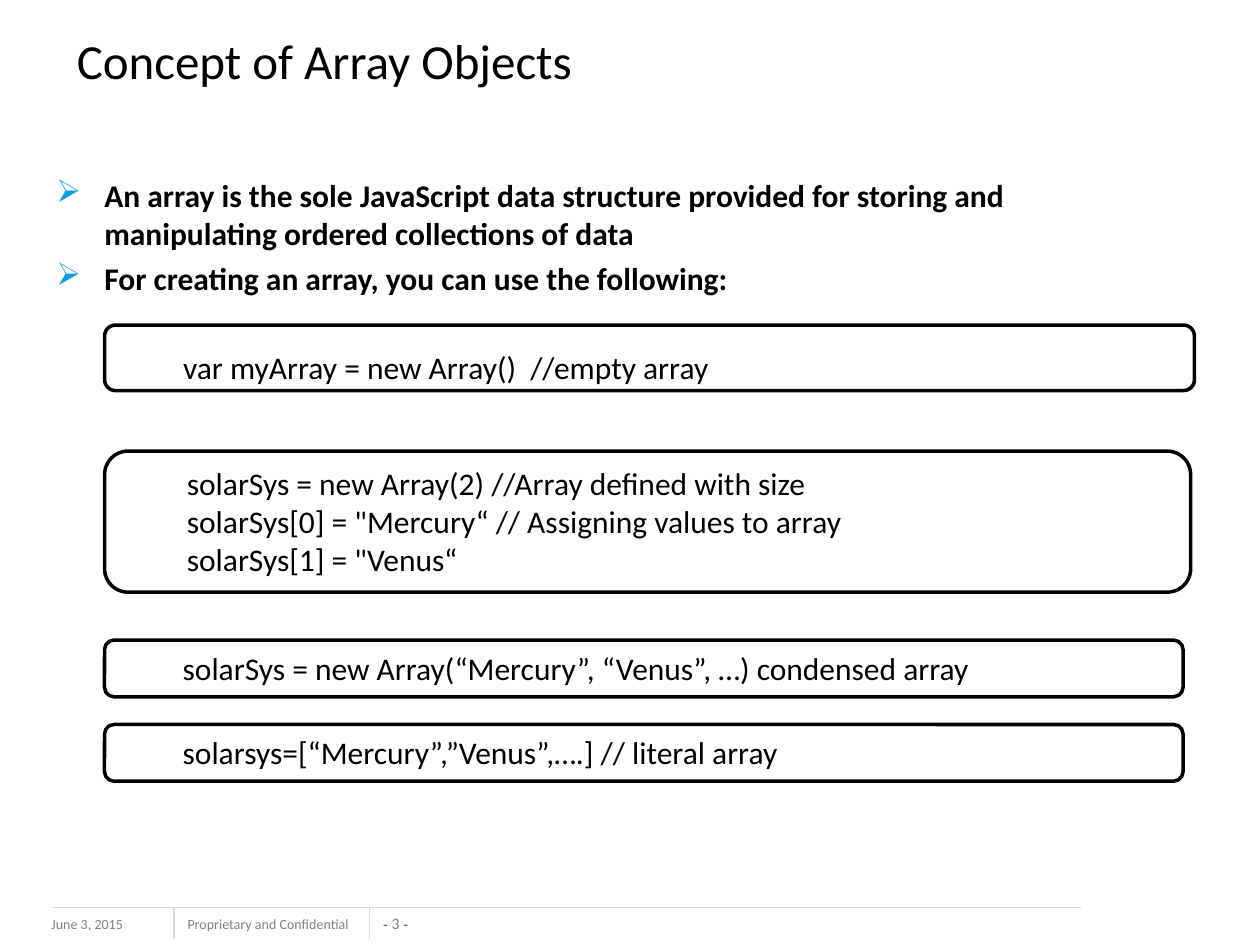
from lxml.etree import SubElement
from pptx import Presentation
from pptx.dml.color import RGBColor
from pptx.enum.shapes import MSO_CONNECTOR as Link, MSO_SHAPE as Form
from pptx.enum.text import MSO_ANCHOR as Anchor, MSO_AUTO_SIZE as Fit, PP_ALIGN as Align
from pptx.oxml.ns import qn
from pptx.util import Pt

PX = 9144  # 100 px to the inch
COLORS = {
    "ink": "000000", "paper": "FFFFFF", "bullet": "00A1E4",
    "rule": "D9D9D9", "foot": "808080", "dash": "1F497D",
}


def color(name):
    return RGBColor.from_string(COLORS[name])


def scale(*sizes):
    return [size * PX for size in sizes]


class Deck:
    font = "Calibri"
    size = 18

    def __init__(self, wide, high):
        self.file = Presentation()
        self.file.slide_width, self.file.slide_height = scale(wide, high)
        self.slide = self.file.slides.add_slide(self.file.slide_layouts[5])
        self.shapes = self.slide.shapes

    def run(self, para, text, size=None, ink="ink", font=None, bold=False):
        run = para.add_run()
        run.text = text
        run.font.name = font or self.font
        run.font.size = Pt(size or self.size)
        run.font.bold = bold
        run.font.color.rgb = color(ink)

    def paras(self, frame, count):
        """Return the first paragraph of the frame and count - 1 new ones."""
        return [frame.paragraphs[0]] + [frame.add_paragraph() for _ in range(count - 1)]

    def indent(self, para, left, first=0):
        props = para._p.get_or_add_pPr()
        props.set("marL", str(left * PX))
        props.set("indent", str(first * PX))
        return props

    def title(self, text, *box):
        shape = self.shapes.title
        shape.left, shape.top, shape.width, shape.height = scale(*box)
        frame = shape.text_frame
        frame.auto_size = Fit.NONE
        frame.vertical_anchor = Anchor.MIDDLE
        para = frame.paragraphs[0]
        para.alignment = Align.LEFT
        para.line_spacing = 0.8
        self.run(para, text, 28)

    def bullets(self, lines, *box):
        frame = self.shapes.add_textbox(*scale(*box)).text_frame
        frame.word_wrap = True
        for spot, (para, line) in enumerate(zip(self.paras(frame, len(lines)), lines)):
            props = self.indent(para, 38, -38)
            tint = SubElement(props, qn("a:buClr"))
            SubElement(tint, qn("a:srgbClr"), val=COLORS["bullet"])
            SubElement(props, qn("a:buChar"), char="➢")
            if spot:
                para.space_before = Pt(4)
            self.run(para, line, bold=True)

    def code(self, lines, *box, spacing=None):
        shape = self.shapes.add_shape(Form.ROUNDED_RECTANGLE, *scale(*box))
        shape.shadow.inherit = False
        shape.fill.solid()
        shape.fill.fore_color.rgb = color("paper")
        shape.line.color.rgb = color("ink")
        shape.line.width = Pt(2)
        frame = shape.text_frame
        frame.word_wrap = True
        frame.auto_size = Fit.SHAPE_TO_FIT_TEXT
        frame.vertical_anchor = Anchor.TOP
        for para, line in zip(self.paras(frame, len(lines)), lines):
            para.level = 1
            para.alignment = Align.LEFT
            self.indent(para, 50)
            if spacing:
                para.line_spacing = spacing
            self.run(para, line)

    def note(self, text, *box):
        frame = self.shapes.add_textbox(*scale(*box)).text_frame
        self.run(frame.paragraphs[0], text, 8, "foot")

    def number(self, text, *box):
        """Add the page number between two dashes."""
        frame = self.shapes.add_textbox(*scale(*box)).text_frame
        frame.margin_left = frame.margin_right = 0
        frame.margin_top = frame.margin_bottom = 0
        frame.vertical_anchor = Anchor.BOTTOM
        para = frame.paragraphs[0]
        para.alignment = Align.CENTER
        self.run(para, "- ", 8, "dash", "Arial")
        self.run(para, text + " ", 9, "foot")
        self.run(para, "-", 8, "dash", "Arial")

    def rule(self, *ends):
        line = self.shapes.add_connector(Link.STRAIGHT, *scale(*ends))
        line.line.color.rgb = color("rule")
        line.line.width = Pt(0.75)
        SubElement(line._element.spPr, qn("a:effectLst"))


def main():
    deck = Deck(1000, 750)

    deck.note("June 3, 2015", 31, 722, 133, 25)
    deck.note("Proprietary and Confidential", 139, 722, 157, 24)
    deck.number("3", 301, 725, 26, 15)
    deck.rule(858, 720, 42, 720)
    for left in (138, 293):
        deck.rule(left, 720, left, 745)

    deck.title("Concept of Array Objects", 51, 13, 892, 78)
    deck.bullets([
        "An array is the sole JavaScript data structure provided for storing and "
        "manipulating ordered collections of data",
        "For creating an array, you can use the following:",
    ], 35, 135, 900, 550)

    deck.code(["var myArray = new Array()  //empty array"], 83, 258, 865, 52, spacing=1.35)
    deck.code([
        "solarSys = new Array(2) //Array defined with size",
        'solarSys[0] = "Mercury“ // Assigning values to array',
        'solarSys[1] = "Venus“',
    ], 83, 358, 862, 112)
    deck.code(["solarSys = new Array(“Mercury”, “Venus”, …) condensed array"], 83, 508, 856, 45)
    deck.code(["solarsys=[“Mercury”,”Venus”,….] // literal array"], 83, 575, 856, 45)

    deck.file.save("out.pptx")


if __name__ == "__main__":
    main()
